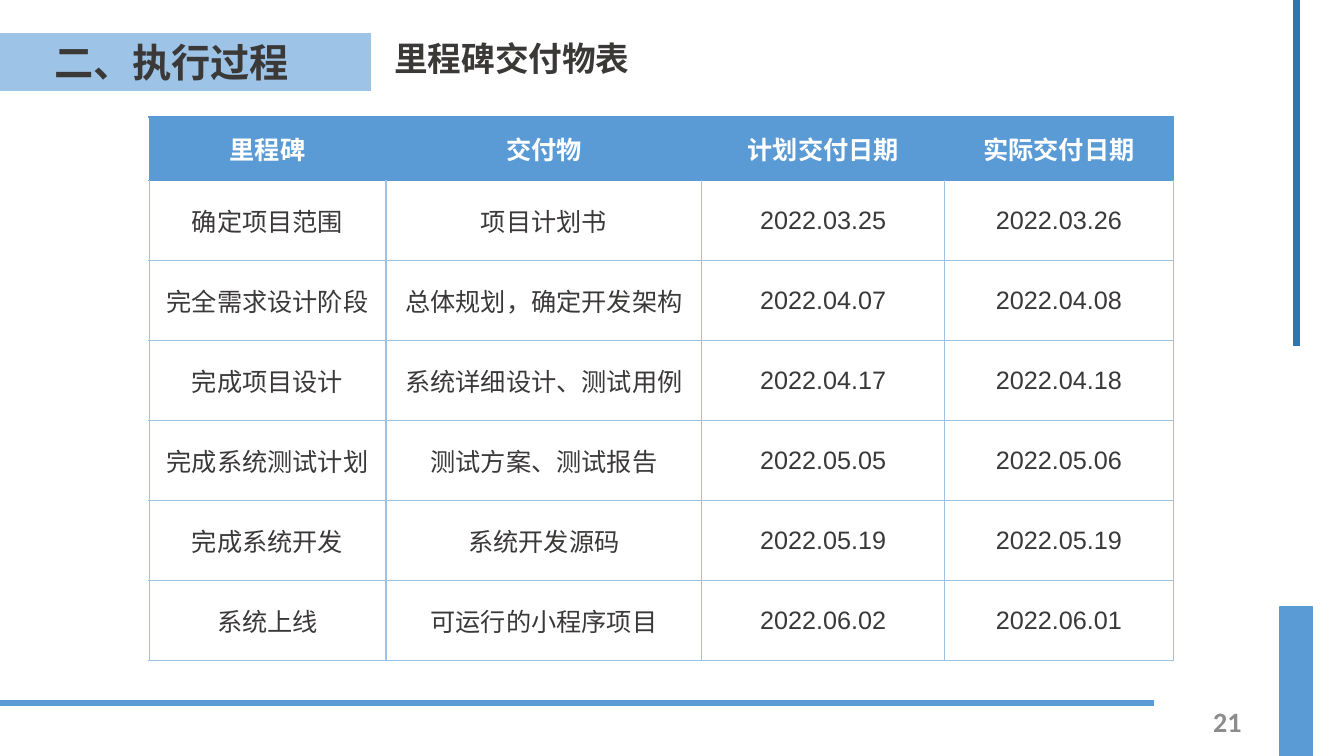
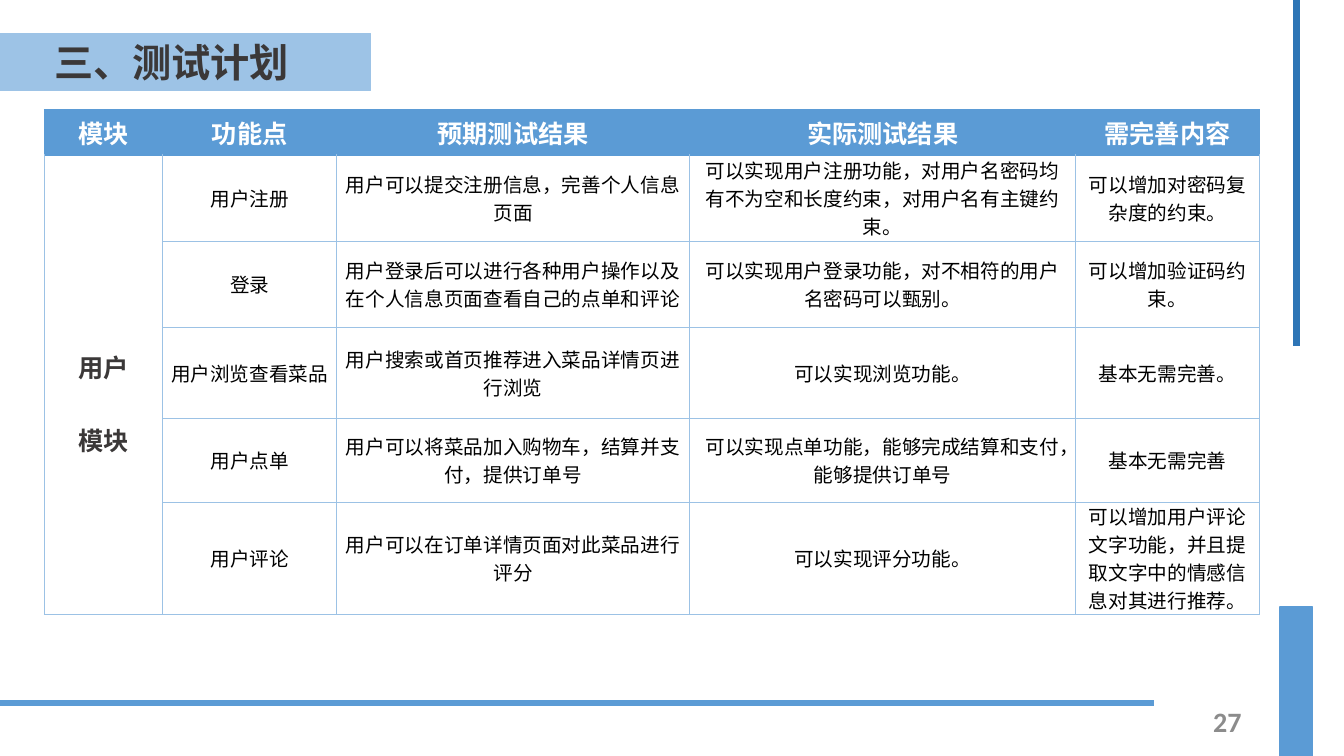
from lxml import etree
from pptx import Presentation
from pptx.dml.color import RGBColor
from pptx.enum.lang import MSO_LANGUAGE_ID
from pptx.enum.shapes import MSO_CONNECTOR, MSO_SHAPE
from pptx.enum.text import MSO_ANCHOR, PP_ALIGN
from pptx.oxml.ns import qn
from pptx.util import Pt

LEFT, MID, RIGHT = PP_ALIGN.LEFT, PP_ALIGN.CENTER, PP_ALIGN.RIGHT
TOP, CENTRE = MSO_ANCHOR.TOP, MSO_ANCHOR.MIDDLE
RECT, LINE = MSO_SHAPE.RECTANGLE, MSO_CONNECTOR.STRAIGHT
CHINESE = MSO_LANGUAGE_ID.SIMPLIFIED_CHINESE


class Theme:
    blue, deep, pale, grid = "5B9BD5", "2E75B6", "9DC3E6", "9CC2E5"
    dark, black, white, grey = "3B3838", "000000", "FFFFFF", "8C8C8C"
    han = "Noto Sans CJK SC"
    # text styles: font values, colour, alignment, line spacing
    title = (dict(size=Pt(28), name=han, bold=True), dark, LEFT, None)
    sub = (dict(size=Pt(24), name="Arial", bold=True), dark, LEFT, None)
    page = (dict(size=Pt(20), name="Calibri", bold=True), grey, RIGHT, None)
    head = (dict(size=Pt(18), name="Arial", bold=True), white, MID, None)
    body = (dict(size=Pt(18), name="Arial", bold=False), dark, MID, None)
    group = (dict(size=Pt(18), name="Arial", bold=True), dark, MID, 2.0)
    small = (dict(size=Pt(14), name="Arial", bold=False), black, MID, Pt(20))
    cell = dict(margin_left=Pt(5.4), margin_right=Pt(5.4), margin_top=0,
                margin_bottom=0, vertical_anchor=CENTRE)


def write(frame, text, style):
    values, tint, align, space = style
    frame.word_wrap = True
    frame.text = text
    for para in frame.paragraphs:
        para.alignment, para.line_spacing = align, space
        for run in para.runs:
            font = run.font
            for key, value in values.items():
                setattr(font, key, value)
            font.language_id = CHINESE
            font.color.rgb = RGBColor.from_string(tint)
            east = etree.SubElement(run._r.get_or_add_rPr(), qn("a:ea"))
            east.set("typeface", Theme.han)


def label(slide, box, text, style, anchor=TOP):
    frame = slide.shapes.add_textbox(*map(Pt, box)).text_frame
    frame.vertical_anchor = anchor
    write(frame, text, style)


# Slide content
pages = [
    dict(title="二、执行过程", sub="里程碑交付物表", page="21",
         at=(106.5, 83.5), style=Theme.body, group=False,
         cols=[169.2, 225.6, 173.5, 163.2], rows=[45.4] + [57.2] * 6,
         cells=[
             ["里程碑", "交付物", "计划交付日期", "实际交付日期"],
             ["确定项目范围", "项目计划书", "2022.03.25", "2022.03.26"],
             ["完全需求设计阶段", "总体规划，确定开发架构", "2022.04.07", "2022.04.08"],
             ["完成项目设计", "系统详细设计、测试用例", "2022.04.17", "2022.04.18"],
             ["完成系统测试计划", "测试方案、测试报告", "2022.05.05", "2022.05.06"],
             ["完成系统开发", "系统开发源码", "2022.05.19", "2022.05.19"],
             ["系统上线", "可运行的小程序项目", "2022.06.02", "2022.06.01"],
         ]),
    dict(title="三、测试计划", sub="", page="27",
         at=(31.7, 78.3), style=Theme.small, group=True,
         cols=[84.6, 124.2, 252, 276, 131], rows=[32.5, 61.7, 61.3, 65.3, 59.8, 80],
         cells=[
             ["模块", "功能点", "预期测试结果", "实际测试结果", "需完善内容"],
             ["用户\n模块", "用户注册", "用户可以提交注册信息，完善个人信息页面",
              "可以实现用户注册功能，对用户名密码均有不为空和长度约束，对用户名有主键约束。",
              "可以增加对密码复杂度的约束。"],
             ["", "登录", "用户登录后可以进行各种用户操作以及在个人信息页面查看自己的点单和评论",
              "可以实现用户登录功能，对不相符的用户名密码可以甄别。",
              "可以增加验证码约束。"],
             ["", "用户浏览查看菜品", "用户搜索或首页推荐进入菜品详情页进行浏览",
              "可以实现浏览功能。", "基本无需完善。"],
             ["", "用户点单", "用户可以将菜品加入购物车，结算并支付，提供订单号",
              "可以实现点单功能，能够完成结算和支付，能够提供订单号", "基本无需完善"],
             ["", "用户评论", "用户可以在订单详情页面对此菜品进行评分",
              "可以实现评分功能。",
              "可以增加用户评论文字功能，并且提取文字中的情感信息对其进行推荐。"],
         ]),
]

# Shared decoration
rules = [((0, 502, 824.5, 502), Theme.blue), ((926, 0, 926, 247), Theme.deep)]
bands = [((914.4, 433.5, 23, 106.5), Theme.blue), ((0, 23.8, 264.5, 41), Theme.pale)]

deck = Presentation()
deck.slide_width, deck.slide_height = Pt(960), Pt(540)

for page in pages:
    slide = deck.slides.add_slide(deck.slide_layouts[6])
    shapes = slide.shapes

    # Rules and bands
    for ends, tint in rules:
        rule = shapes.add_connector(LINE, *map(Pt, ends))
        rule.line.color.rgb = RGBColor.from_string(tint)
        rule.line.width = Pt(4.5)
        etree.SubElement(rule._element.spPr, qn("a:effectLst"))
    for box, tint in bands:
        band = shapes.add_shape(RECT, *map(Pt, box))
        band.shadow.inherit = False
        band.fill.solid()
        band.fill.fore_color.rgb = band.line.color.rgb = RGBColor.from_string(tint)
        band.line.width = Pt(1)

    # Titles and page number
    label(slide, (31.7, 23.8, 202.3, 41), page["title"], Theme.title)
    if page["sub"]:
        label(slide, (274.5, 23.8, 214, 41), page["sub"], Theme.sub)
    label(slide, (678, 500.5, 216, 28.8), page["page"], Theme.page, CENTRE)

    # Table
    cols, rows = page["cols"], page["rows"]
    size = (sum(cols), sum(rows))
    table = shapes.add_table(len(rows), len(cols), *map(Pt, page["at"] + size)).table
    for col, width in zip(table.columns, cols):
        col.width = Pt(width)
    for row, height in zip(table.rows, rows):
        row.height = Pt(height)
    if page["group"]:
        table.cell(1, 0).merge(table.cell(len(rows) - 1, 0))

    for r, line in enumerate(page["cells"]):
        for c, text in enumerate(line):
            cell = table.cell(r, c)
            for key, value in Theme.cell.items():
                setattr(cell, key, value)

            # Borders
            props = cell._tc.get_or_add_tcPr()
            for side in ("lnL", "lnR", "lnT", "lnB"):
                edge = etree.SubElement(props, qn("a:" + side), w=str(Pt(1)))
                fill = etree.SubElement(edge, qn("a:solidFill"))
                top = r == 0 or (r == 1 and side == "lnT")
                etree.SubElement(fill, qn("a:srgbClr"),
                                 val=Theme.blue if top else Theme.grid)

            # Fill and text
            if r == 0:
                cell.fill.solid()
                cell.fill.fore_color.rgb = RGBColor.from_string(Theme.blue)
                style = Theme.head
            else:
                cell.fill.background()
                style = Theme.group if page["group"] and c == 0 else page["style"]
            if text:
                write(cell.text_frame, text, style)

deck.save("out.pptx")
